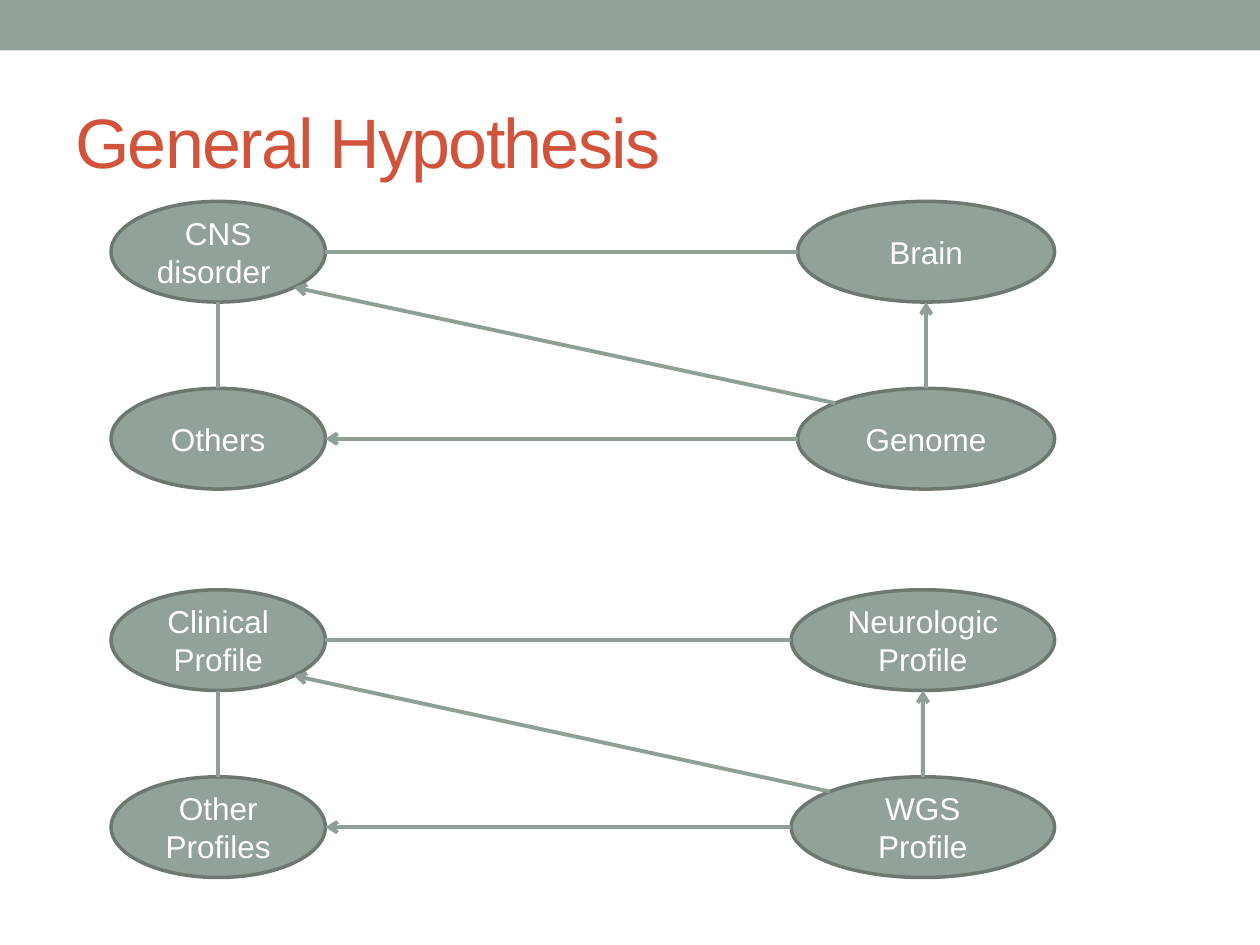
import math

import pptx
import pptx.dml.color
import pptx.enum.shapes
import pptx.enum.text
import pptx.util
from lxml import etree
from pptx.util import Cm, Pt

FILL, OUTLINE, LINK = "93A299", "6D7871", "8F9F96"
TITLE = "General Hypothesis"

# Each diagram: top, left and width of the right column, paragraphs per node
DIAGRAMS = [
    dict(top=4.06, right=16.08, width=5.18, nodes={
        "top left": ["CNS disorder "], "top right": ["Brain"],
        "low left": ["Others"], "low right": ["Genome"]}),
    dict(top=11.89, right=15.95, width=5.31, nodes={
        "top left": ["Clinical", "Profile"], "top right": ["Neurologic", "Profile"],
        "low left": ["Other", "Profiles"], "low right": ["WGS", "Profile"]}),
]
# From node, angle on it, to node, angle on it, arrowhead at the start
LINKS = [
    ("top left", 0, "top right", 180, False),
    ("top right", 90, "low right", 270, True),
    ("top left", 45, "low right", 225, True),
    ("low left", 0, "low right", 180, True),
    ("top left", 90, "low left", 270, False),
]
LEFT, LEFT_WIDTH, HEIGHT, ROW_STEP = 2.24, 4.32, 2.03, 3.77


def rgb(value):
    return pptx.dml.color.RGBColor.from_string(value)


def add_run(p, text, size, color):
    r = p.add_run()
    r.text = text
    r.font.name = "Arial"
    r.font.size = Pt(size)
    r.font.color.rgb = rgb(color)
    return r


def add_shape(s, kind, box):
    sp = s.shapes.add_shape(kind, *map(Cm, box))
    sp.shadow.inherit = False
    sp.fill.solid()
    sp.fill.fore_color.rgb = rgb(FILL)
    return sp


def add_node(s, box, lines):
    sp = add_shape(s, pptx.enum.shapes.MSO_SHAPE.OVAL, box)
    sp.line.color.rgb = rgb(OUTLINE)
    sp.line.width = Pt(2)
    tf = sp.text_frame
    tf.word_wrap = True
    tf.vertical_anchor = pptx.enum.text.MSO_ANCHOR.MIDDLE
    for i, text in enumerate(lines):
        p = tf.add_paragraph() if i else tf.paragraphs[0]
        p.alignment = pptx.enum.text.PP_ALIGN.CENTER
        add_run(p, text, 18, "FFFFFF")


def rim_point(box, angle):
    """Point on the ellipse in the box, with the angle clockwise from the right."""
    x, y, w, h = box
    a = math.radians(angle)
    return Cm(x + w / 2 * (1 + math.cos(a))), Cm(y + h / 2 * (1 + math.sin(a)))


def add_link(s, start, end, arrow):
    c = s.shapes.add_connector(pptx.enum.shapes.MSO_CONNECTOR.STRAIGHT, *start, *end)
    c.line.color.rgb = rgb(LINK)
    c.line.width = Pt(2.25)
    ns = pptx.oxml.ns.qn
    if arrow:
        etree.SubElement(c.line._get_or_add_ln(), ns("a:headEnd"), type="arrow")
    etree.SubElement(c._element.spPr, ns("a:effectLst"))


def add_diagram(s, top, right, width, nodes):
    boxes = {}
    for name, lines in nodes.items():
        row, side = name.split()
        x, w = (LEFT, LEFT_WIDTH) if side == "left" else (right, width)
        y = top + ROW_STEP * (row == "low")
        boxes[name] = (x, y, w, HEIGHT)
        add_node(s, boxes[name], lines)
    for a, a_angle, b, b_angle, arrow in LINKS:
        add_link(s, rim_point(boxes[a], a_angle), rim_point(boxes[b], b_angle), arrow)


def main():
    prs = pptx.Presentation()
    prs.slide_width, prs.slide_height = Cm(25.4), Cm(19.05)
    s = prs.slides.add_slide(prs.slide_layouts[6])

    band = add_shape(s, pptx.enum.shapes.MSO_SHAPE.RECTANGLE, (0, 0, 25.4, 1.02))
    band.line.fill.background()

    tf = s.shapes.add_textbox(Cm(1.27), Cm(1.47), Cm(22.86), Cm(2.74)).text_frame
    tf.word_wrap = True
    tf.vertical_anchor = pptx.enum.text.MSO_ANCHOR.MIDDLE
    r = add_run(tf.paragraphs[0], TITLE, 40, "D2533C")
    r.font._element.set("spc", "-100")

    for diagram in DIAGRAMS:
        add_diagram(s, **diagram)
    prs.save("out.pptx")


if __name__ == "__main__":
    main()
